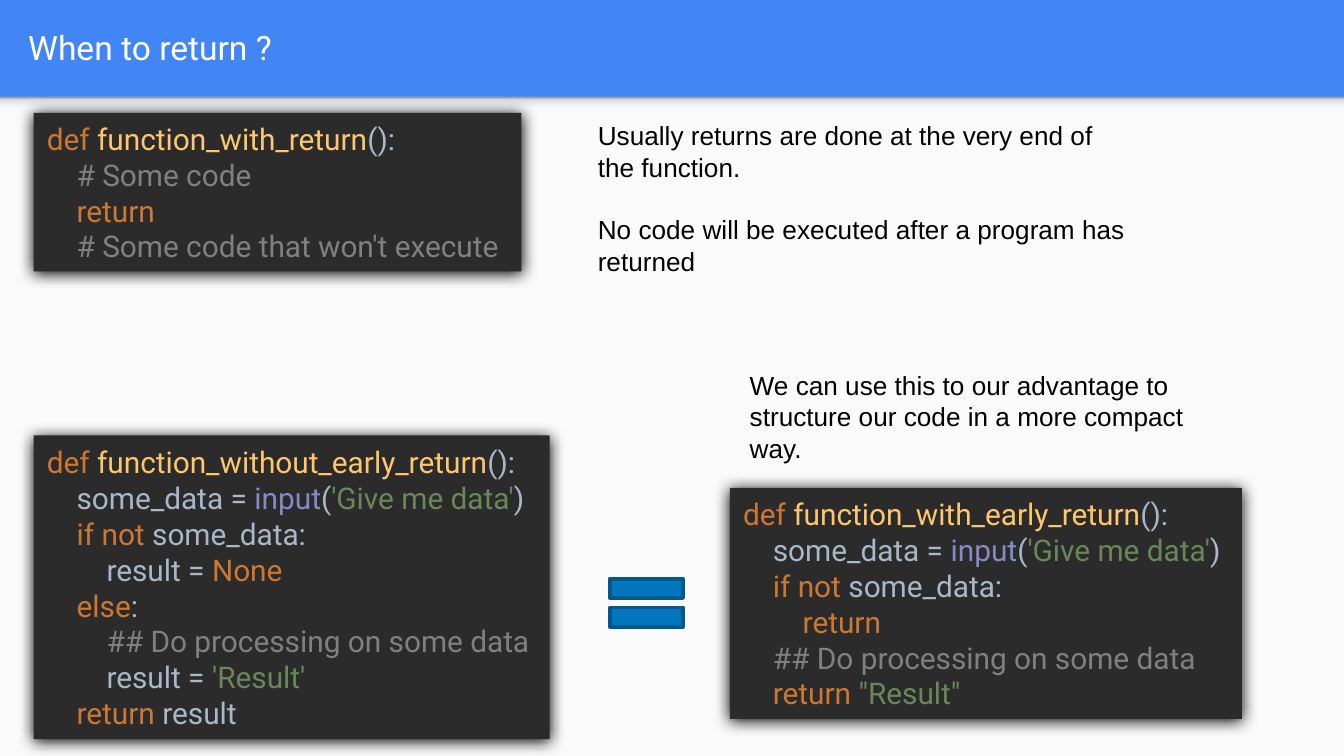
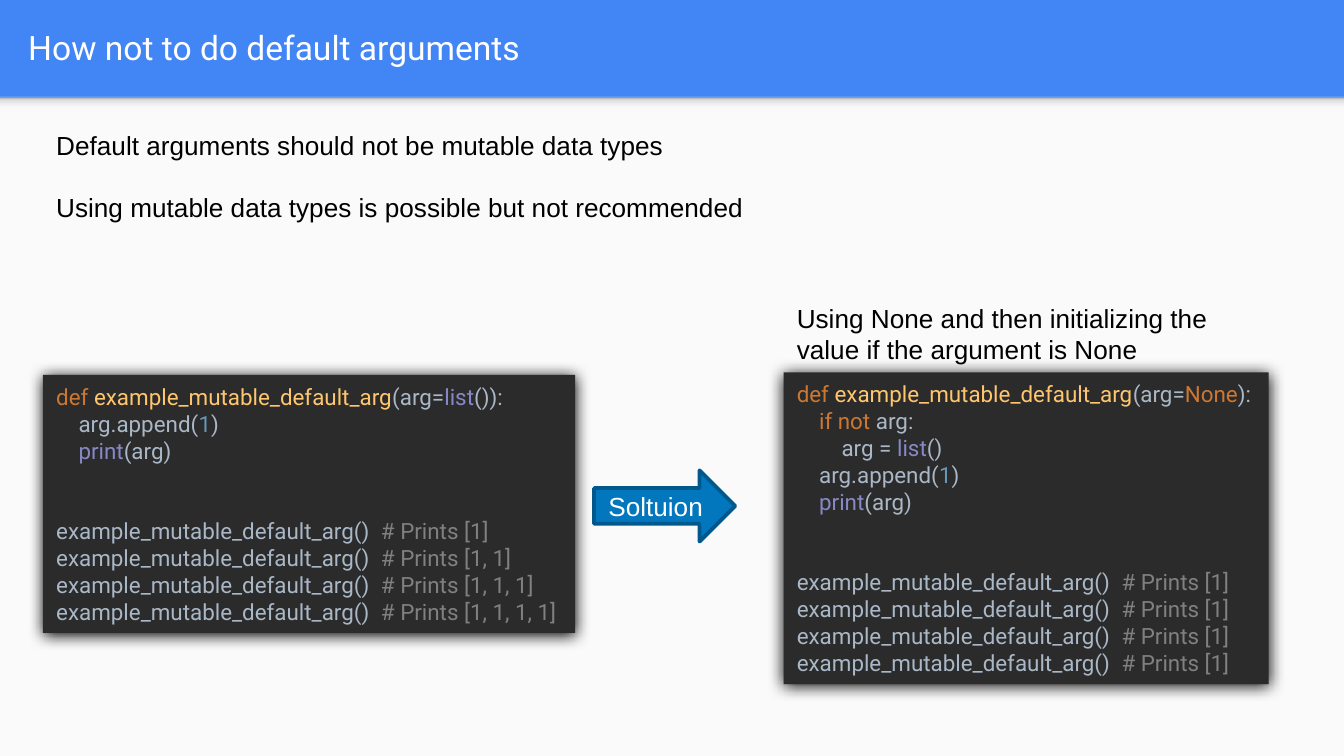
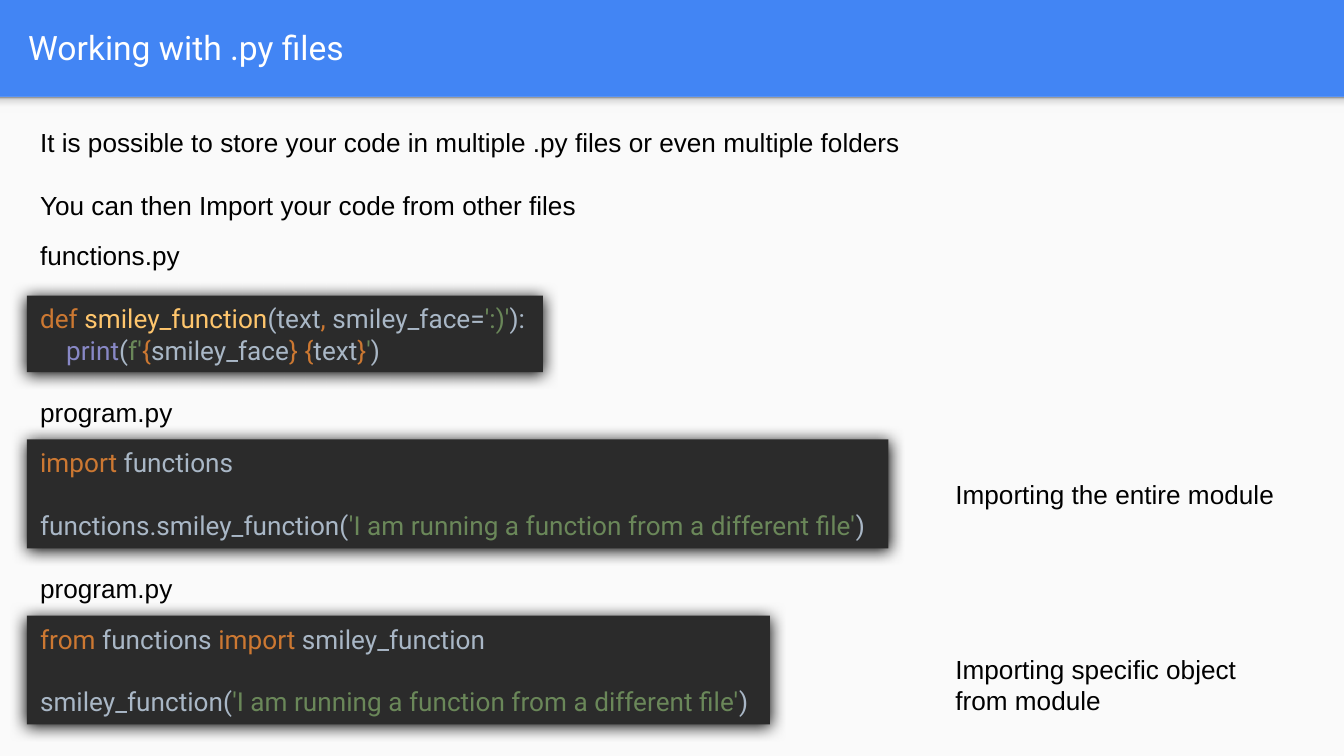
from dataclasses import dataclass, field

from pptx import Presentation
from pptx.dml.color import RGBColor
from pptx.enum.shapes import MSO_SHAPE as SHAPE
from pptx.enum.text import MSO_ANCHOR as ANCHOR, MSO_AUTO_SIZE as FIT, PP_ALIGN as ALIGN
from pptx.oxml import parse_xml
from pptx.oxml.ns import nsdecls, qn
from pptx.util import Inches, Pt


@dataclass(frozen=True)
class Theme:
    """Colours, fonts and type sizes shared by all slides."""

    header: str = "4285F4"
    page: str = "FAFAFA"
    editor: str = "2B2B2B"
    accent: str = "0277BD"
    accent_line: str = "01588C"
    white: str = "FFFFFF"
    ink: str = "000000"
    code_font: str = "Roboto"
    body_font: str = "Arial"
    title_size: int = 18
    body_size: int = 14
    leading: float = 1.2
    band_stops: tuple = ((0, "F9F9F9"), (36, "F9F9F9"), (80, "DEDEDE"), (100, "999999"))
    syntax: dict = field(default_factory=lambda: {
        "k": "CC7832",
        "f": "FFC66D",
        "c": "A9B7C6",
        "m": "808080",
        "b": "8888C6",
        "s": "6A8759",
        "n": "6897BB",
    })


THEME = Theme()

LATE_RETURN = """\
~kdef ~ffunction_with_return~c():
    ~m# Some code
    ~kreturn
    ~m# Some code that won't execute"""

WITHOUT_EARLY_RETURN = """\
~kdef ~ffunction_without_early_return~c():
    ~csome_data = ~binput~c(~s'Give me data'~c)
    ~kif not ~csome_data:
        ~cresult = ~kNone
    ~kelse~c:
        ~m## Do processing on some data
        ~cresult = ~s'Result'
    ~kreturn ~cresult"""

WITH_EARLY_RETURN = """\
~kdef ~ffunction_with_early_return~c():
    ~csome_data = ~binput~c(~s'Give me data'~c)
    ~kif not ~csome_data:
        ~kreturn
    ~m## Do processing on some data
    ~kreturn ~s"Result\""""

MUTABLE_DEFAULT = """\
~kdef ~fexample_mutable_default_arg~c(arg=~blist~c()):
    ~carg.append(~n1~c)
    ~bprint~c(arg)


"""

NONE_DEFAULT = """\
~kdef ~fexample_mutable_default_arg~c(arg=~kNone~c):
    ~kif not ~carg:
        ~carg = ~blist~c()
    ~carg.append(~n1~c)
    ~bprint~c(arg)


"""

SMILEY = """\
~kdef ~fsmiley_function~c(text~k, ~csmiley_face=~s':)'~c):
    ~bprint~c(~sf'~k{~csmiley_face~k} {~ctext~k}~s'~c)"""

IMPORT_MODULE = """\
~kimport ~cfunctions

~cfunctions.smiley_function(~s'I am running a function from a different file'~c)"""

IMPORT_OBJECT = """\
~kfrom ~cfunctions~k import ~csmiley_function

~csmiley_function(~s'I am running a function from a different file'~c)"""


def calls(results):
    """Return one marked-up call line for each printed result."""
    return "\n".join(f"~cexample_mutable_default_arg()  ~m# Prints {r}" for r in results)


def rgb(value):
    """Turn a hex string into a colour."""
    return RGBColor.from_string(value)


def write(tf, text, size=THEME.body_size, font=THEME.body_font, color=THEME.ink,
          align=ALIGN.LEFT, anchor=ANCHOR.TOP, wrap=True):
    """Write lines of text; a tilde and a key start a run in a syntax colour."""
    tf.auto_size, tf.word_wrap, tf.vertical_anchor = FIT.NONE, wrap, anchor
    line_height = size * THEME.leading
    p, blanks = None, 0
    for line in text.split("\n"):
        if not line:
            blanks += 1
            continue
        p = tf.add_paragraph() if p is not None else tf.paragraphs[0]
        p.alignment, p.line_spacing = align, Pt(line_height)
        p.space_before, blanks = Pt(blanks * line_height), 0
        body = line.lstrip(" ")
        level = (len(line) - len(body)) // 4
        if level:
            p._p.get_or_add_pPr().set("marL", str(level * Pt(size)))
        if body.startswith("~"):
            runs = [(THEME.syntax[part[0]], part[1:]) for part in body.split("~")[1:]]
        else:
            runs = [(color, body)]
        for run_color, content in runs:
            r = p.add_run()
            r.text = content
            r.font.name, r.font.size = font, Pt(size)
            r.font.color.rgb = rgb(run_color)


def add_box(slide, kind, box, fill=None, line=None):
    """Add a preset shape without shadow; box is left, top, width, height."""
    sp = slide.shapes.add_shape(kind, *map(Inches, box))
    sp.shadow.inherit = False
    if fill:
        sp.fill.solid()
        sp.fill.fore_color.rgb = rgb(fill)
    if line:
        sp.line.color.rgb, sp.line.width = rgb(line), Pt(2)
    else:
        sp.line.fill.background()
    return sp


def add_note(slide, box, text):
    """Add a plain text box."""
    tb = slide.shapes.add_textbox(*map(Inches, box))
    write(tb.text_frame, text)


def add_code(slide, box, code, size):
    """Add a dark code panel with a soft shadow."""
    sp = add_box(slide, SHAPE.RECTANGLE, box, THEME.editor)
    effects = sp._element.spPr.find(qn("a:effectLst"))
    effects.append(parse_xml(
        f'<a:outerShdw {nsdecls("a")} blurRad="{Pt(8.5)}" dist="{Pt(1)}" dir="5400000" '
        f'algn="t" rotWithShape="0"><a:srgbClr val="{THEME.ink}"/></a:outerShdw>'))
    write(sp.text_frame, code, size=size, font=THEME.code_font,
          anchor=ANCHOR.MIDDLE, wrap=False)


def add_file(slide, left, top, name, panel, code):
    """Add a file name with its code panel; panel is offset, width, height."""
    offset, width, height = panel
    add_note(slide, (left, top, 3.17, 0.34), name)
    add_code(slide, (left, top + offset, width, height), code, 14)


def add_band(slide):
    """Add the light page area and the shade below the header."""
    add_box(slide, SHAPE.RECTANGLE, (0, 0.72, 10, 4.91), THEME.page)
    shade = add_box(slide, SHAPE.RECTANGLE, (0, 0.72, 10, 0.12))
    shade.fill.gradient()
    shade.fill.gradient_angle = 90
    stops = shade._element.spPr.find(qn("a:gradFill")).find(qn("a:gsLst"))
    for stop in list(stops):
        stops.remove(stop)
    for position, color in THEME.band_stops:
        stops.append(parse_xml(
            f'<a:gs {nsdecls("a")} pos="{position * 1000}"><a:srgbClr val="{color}"/></a:gs>'))


def new_slide(prs, title):
    """Add a title-only slide with the shared header."""
    slide = prs.slides.add_slide(prs.slide_layouts[5])
    add_band(slide)
    sp = slide.shapes.title
    sp.left, sp.top, sp.width, sp.height = map(Inches, (0.11, 0.02, 9.65, 0.66))
    tf = sp.text_frame
    tf.margin_left = tf.margin_right = tf.margin_top = tf.margin_bottom = Inches(0.1)
    write(tf, title, size=THEME.title_size, font=THEME.code_font,
          color=THEME.white, anchor=ANCHOR.MIDDLE)
    return slide


def return_slide(prs):
    """Build the slide on late and early returns."""
    slide = new_slide(prs, "When to return ?")
    add_code(slide, (0.25, 0.84, 3.63, 1.18), LATE_RETURN, 16)
    add_note(slide, (4.35, 0.84, 4.14, 1.28),
             "Usually returns are done at the very end of the function.\n\n"
             "No code will be executed after a program has returned")
    add_code(slide, (5.43, 3.63, 3.81, 1.72), WITH_EARLY_RETURN, 16)
    add_note(slide, (5.48, 2.7, 3.72, 0.81),
             "We can use this to our advantage to structure our code in a more compact way.")
    add_code(slide, (0.25, 3.24, 3.84, 2.26), WITHOUT_EARLY_RETURN, 16)
    add_box(slide, SHAPE.MATH_EQUAL, (4.44, 4.18, 0.74, 0.61),
            THEME.accent, THEME.accent_line)


def default_slide(prs):
    """Build the slide on mutable default arguments."""
    slide = new_slide(prs, "How not to do default arguments")
    add_note(slide, (0.32, 0.91, 9.03, 0.81),
             "Default arguments should not be mutable data types\n\n"
             "Using mutable data types is possible but not recommended")
    growing = [[1] * n for n in range(1, 5)]
    add_code(slide, (0.32, 2.79, 3.96, 1.92), MUTABLE_DEFAULT + calls(growing), 12)
    arrow = add_box(slide, SHAPE.RIGHT_ARROW, (4.42, 3.5, 1.05, 0.53),
                    THEME.accent, THEME.accent_line)
    write(arrow.text_frame, "Soltuion", color=THEME.white,
          align=ALIGN.CENTER, anchor=ANCHOR.MIDDLE, wrap=False)
    add_code(slide, (5.83, 2.77, 3.61, 2.32), NONE_DEFAULT + calls([[1]] * 4), 12)
    add_note(slide, (5.83, 2.2, 3.61, 0.57),
             "Using None and then initializing the value if the argument is None")


def files_slide(prs):
    """Build the slide on importing code from other files."""
    slide = new_slide(prs, "Working with .py files")
    left, note_left = 0.2, 7.01
    add_note(slide, (left, 0.89, 9.43, 0.81),
             "It is possible to store your code in multiple .py files or even multiple folders\n\n"
             "You can then Import your code from other files")
    add_file(slide, left, 1.73, "functions.py", (0.47, 3.84, 0.57), SMILEY)
    add_file(slide, left, 2.9, "program.py", (0.37, 6.41, 0.81), IMPORT_MODULE)
    add_file(slide, left, 4.21, "program.py", (0.37, 5.53, 0.81), IMPORT_OBJECT)
    add_note(slide, (note_left, 3.51, 2.62, 0.34), "Importing the entire module")
    add_note(slide, (note_left, 4.81, 2.62, 0.57), "Importing specific object from module")


def main():
    """Build and save the presentation."""
    prs = Presentation()
    prs.slide_width, prs.slide_height = Inches(10), Inches(10 * 9 / 16)
    fill = prs.slide_master.background.fill
    fill.solid()
    fill.fore_color.rgb = rgb(THEME.header)
    return_slide(prs)
    default_slide(prs)
    files_slide(prs)
    prs.save("out.pptx")


if __name__ == "__main__":
    main()
